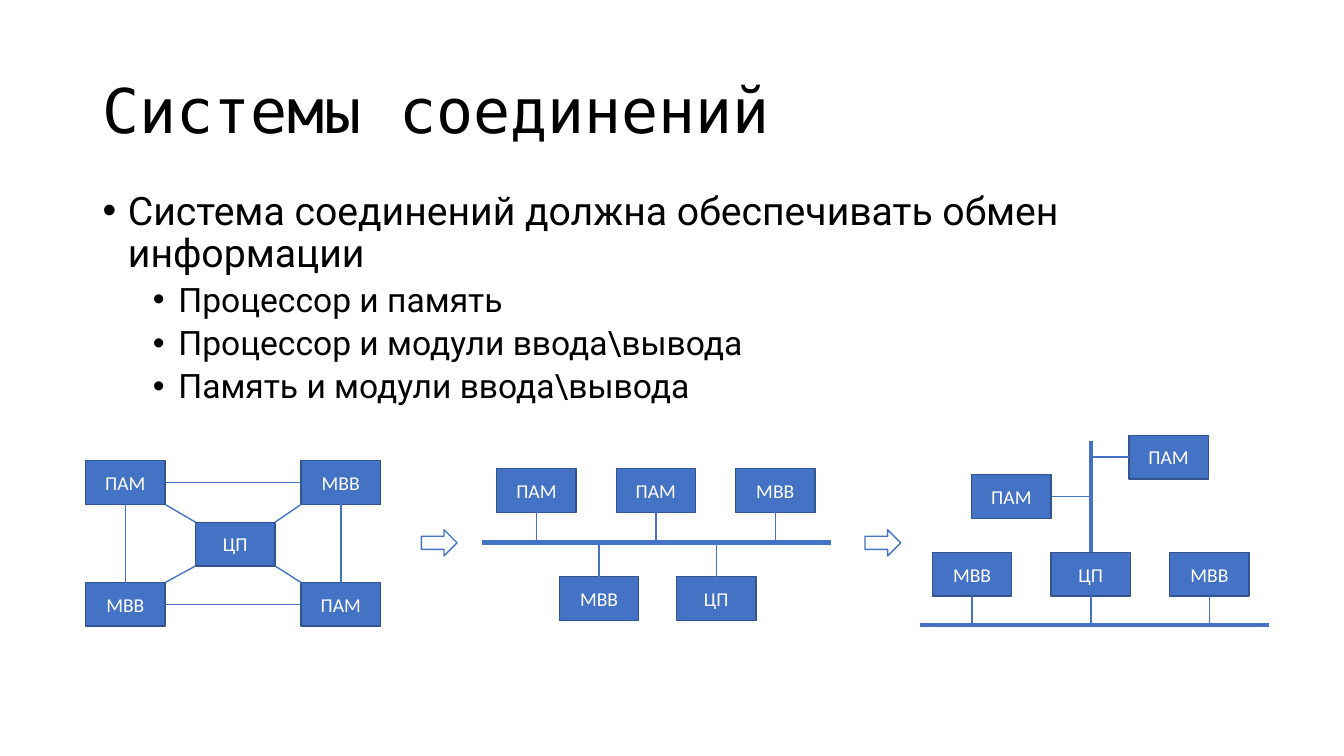
from dataclasses import dataclass

from lxml.etree import SubElement
from pptx import Presentation
from pptx.dml.color import RGBColor
from pptx.enum.shapes import MSO_CONNECTOR as CXN, MSO_SHAPE as SHAPE
from pptx.enum.text import MSO_ANCHOR as ANCHOR, MSO_AUTO_SIZE as AUTOSIZE, PP_ALIGN as ALIGN
from pptx.oxml.ns import qn
from pptx.util import Cm, Pt

BLUE, EDGE, WHITE, BLACK = "4472C4", "325491", "FFFFFF", "000000"
BOX_W, BOX_H = 2.0, 1.1
TOP, LEFT, BOTTOM, RIGHT = range(4)


@dataclass
class Box:
    text: str
    x: float
    y: float

    def side(self, site: int) -> tuple[float, float]:
        dx, dy = ((0.5, 0), (0, 0.5), (0.5, 1), (1, 0.5))[site]
        return self.corner(dx, dy)

    def corner(self, dx: float, dy: float) -> tuple[float, float]:
        return self.x + dx * BOX_W, self.y + dy * BOX_H


@dataclass
class Bullet:
    text: str
    level: int
    size: float
    before: float
    margin: float


def rgb(color: str) -> RGBColor:
    return RGBColor.from_string(color)


def write(p, text: str, *, size: float, font: str, color: str = BLACK,
          align=ALIGN.LEFT, spacing: float = 1.0, before: float = 0) -> None:
    p.alignment, p.line_spacing, p.space_before = align, spacing, Pt(before)
    r = p.add_run()
    r.text = text
    r.font.size, r.font.name = Pt(size), font
    r.font.color.rgb = rgb(color)


def place(sp, x: float, y: float, w: float, h: float, anchor) -> None:
    sp.left, sp.top, sp.width, sp.height = Cm(x), Cm(y), Cm(w), Cm(h)
    tf = sp.text_frame
    tf.auto_size, tf.word_wrap, tf.vertical_anchor = AUTOSIZE.NONE, True, anchor


def add_bullet(p, item: Bullet) -> None:
    p.level = item.level
    pPr = p._p.get_or_add_pPr()
    pPr.set("marL", str(Cm(item.margin)))
    pPr.set("indent", str(-Cm(0.64)))
    SubElement(pPr, qn("a:buFont"), typeface="Arial")
    SubElement(pPr, qn("a:buChar"), char="•")
    write(p, item.text, size=item.size, font="Roboto", spacing=0.9, before=item.before)


def add_shape(shapes, kind, x: float, y: float, w: float, h: float, fill: str, edge: str):
    sp = shapes.add_shape(kind, Cm(x), Cm(y), Cm(w), Cm(h))
    sp.shadow.inherit = False
    sp.fill.solid()
    sp.fill.fore_color.rgb = rgb(fill)
    sp.line.color.rgb = rgb(edge)
    sp.line.width = Pt(1)
    return sp


def add_boxes(shapes, boxes: list[Box]) -> list:
    drawn = []
    for box in boxes:
        sp = add_shape(shapes, SHAPE.RECTANGLE, box.x, box.y, BOX_W, BOX_H, BLUE, EDGE)
        sp.text_frame.vertical_anchor = ANCHOR.MIDDLE
        write(sp.text_frame.paragraphs[0], box.text, size=14, font="Calibri",
              color=WHITE, align=ALIGN.CENTER)
        drawn.append(sp)
    return drawn


def add_line(shapes, start: tuple[float, float], end: tuple[float, float], width: float = 1):
    line = shapes.add_connector(CXN.STRAIGHT, *map(Cm, start + end))
    line.line.color.rgb = rgb(BLUE)
    line.line.width = Pt(width)
    SubElement(line._element.spPr, qn("a:effectLst"))
    return line


def add_stub(shapes, box: Box, sp, site: int, bus: float) -> None:
    x, y = box.side(site)
    end = (x, bus) if site in (TOP, BOTTOM) else (bus, y)
    add_line(shapes, (x, y), end).begin_connect(sp, site)


def draw_mesh(shapes) -> None:
    boxes = [Box("ПАМ", 2.16, 11.61), Box("МВВ", 2.16, 14.68),
             Box("МВВ", 7.59, 11.61), Box("ПАМ", 7.59, 14.68), Box("ЦП", 4.93, 13.16)]
    drawn = add_boxes(shapes, boxes)
    cpu = boxes[-1]
    corners = ((0, 0), (0, 1), (1, 0), (1, 1))
    for box, (dx, dy) in zip(boxes, corners):
        add_line(shapes, box.corner(1 - dx, 1 - dy), cpu.corner(dx, dy))
    for a, b, out, into in ((0, 1, BOTTOM, TOP), (2, 3, BOTTOM, TOP),
                            (0, 2, RIGHT, LEFT), (1, 3, RIGHT, LEFT)):
        line = add_line(shapes, boxes[a].side(out), boxes[b].side(into))
        line.begin_connect(drawn[a], out)
        line.end_connect(drawn[b], into)


def draw_single_bus(shapes) -> None:
    bus = 13.67
    upper = [Box(text, 12.52 + 3.01 * i, 11.81) for i, text in enumerate(("ПАМ", "ПАМ", "МВВ"))]
    lower = [Box(text, 14.1 + 2.95 * i, 14.53) for i, text in enumerate(("МВВ", "ЦП"))]
    add_line(shapes, (12.14, bus), (20.93, bus), 3)
    for row, site in ((upper, BOTTOM), (lower, TOP)):
        for box, sp in zip(row, add_boxes(shapes, row)):
            add_stub(shapes, box, sp, site, bus)


def draw_two_buses(shapes) -> None:
    io_bus = 15.75
    row = [Box(text, 23.5 + 2.99 * i, 13.92) for i, text in enumerate(("МВВ", "ЦП", "МВВ"))]
    row_drawn = add_boxes(shapes, row)
    add_line(shapes, (23.19, io_bus), (31.98, io_bus), 3)
    for box, sp in zip(row, row_drawn):
        add_stub(shapes, box, sp, BOTTOM, io_bus)
    memory_bus, cpu_top = row[1].side(TOP)
    add_line(shapes, (memory_bus, 11.1), (memory_bus, cpu_top), 3).end_connect(row_drawn[1], TOP)
    memory = [Box("ПАМ", 24.49, 11.96), Box("ПАМ", 28.45, 10.97)]
    for box, sp, site in zip(memory, add_boxes(shapes, memory), (RIGHT, LEFT)):
        add_stub(shapes, box, sp, site, memory_bus)


def main() -> None:
    prs = Presentation()
    prs.slide_width, prs.slide_height = Cm(33.87), Cm(19.05)
    slide = prs.slides.add_slide(prs.slide_layouts[1])
    title, body = slide.placeholders

    place(title, 2.33, 1.01, 29.21, 3.68, ANCHOR.MIDDLE)
    write(title.text_frame.paragraphs[0], "Системы соединений",
          size=44, font="DejaVu Sans Mono", spacing=0.9)

    place(body, 2.33, 4.7, 29.21, 5.54, ANCHOR.TOP)
    bullets = [Bullet("Система соединений должна обеспечивать обмен информации", 0, 28, 0, 0.64)]
    bullets += [Bullet(text, 1, 24, 5, 1.91) for text in (
        "Процессор и память", r"Процессор и модули ввода\вывода", r"Память и модули ввода\вывода")]
    tf = body.text_frame
    for i, item in enumerate(bullets):
        add_bullet(tf.add_paragraph() if i else tf.paragraphs[0], item)

    for draw in (draw_mesh, draw_single_bus, draw_two_buses):
        draw(slide.shapes.add_group_shape().shapes)
    for x in (10.62, 21.8):
        add_shape(slide.shapes, SHAPE.RIGHT_ARROW, x, 13.35, 0.9, 0.66, WHITE, BLUE)
    prs.save("out.pptx")


if __name__ == "__main__":
    main()
